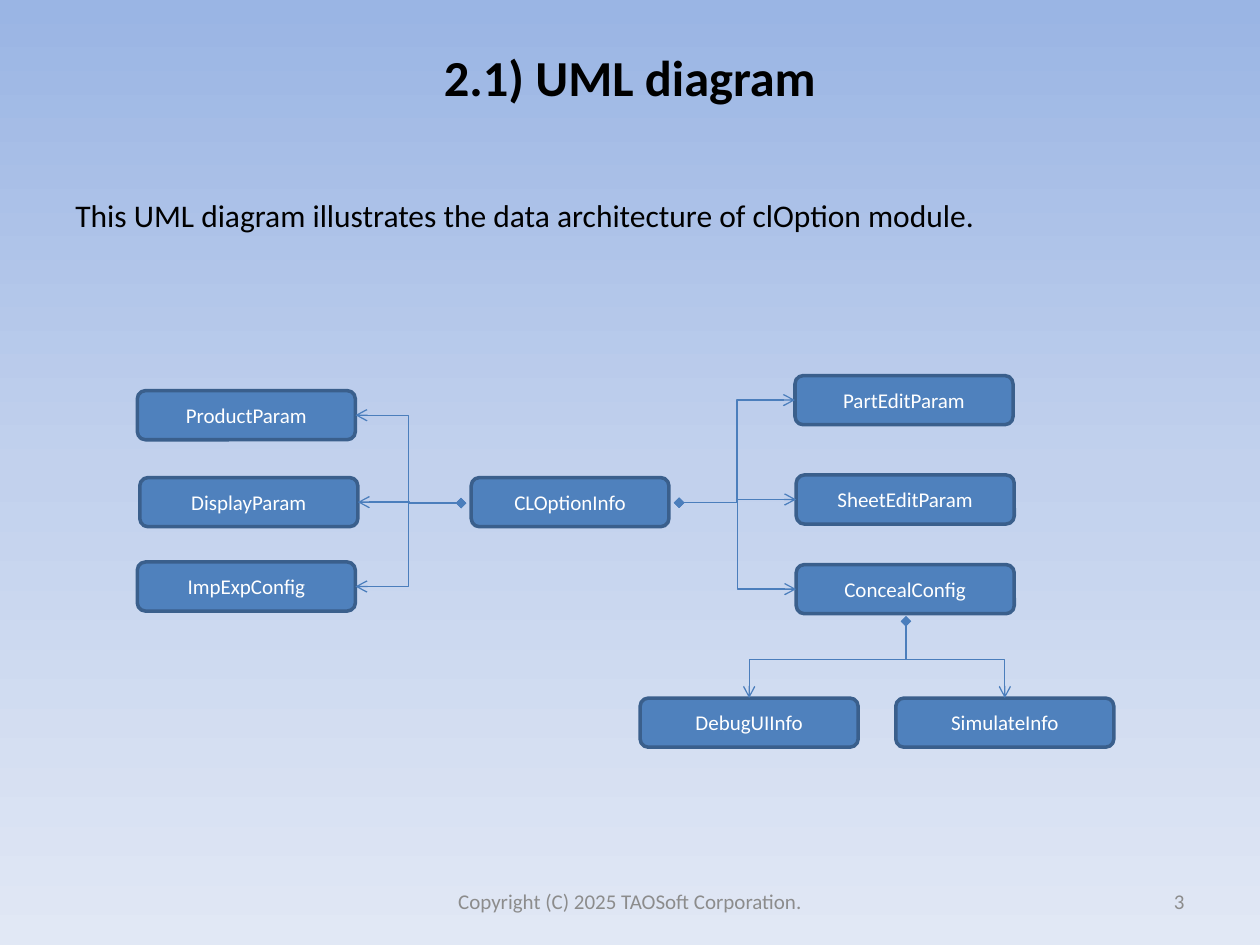
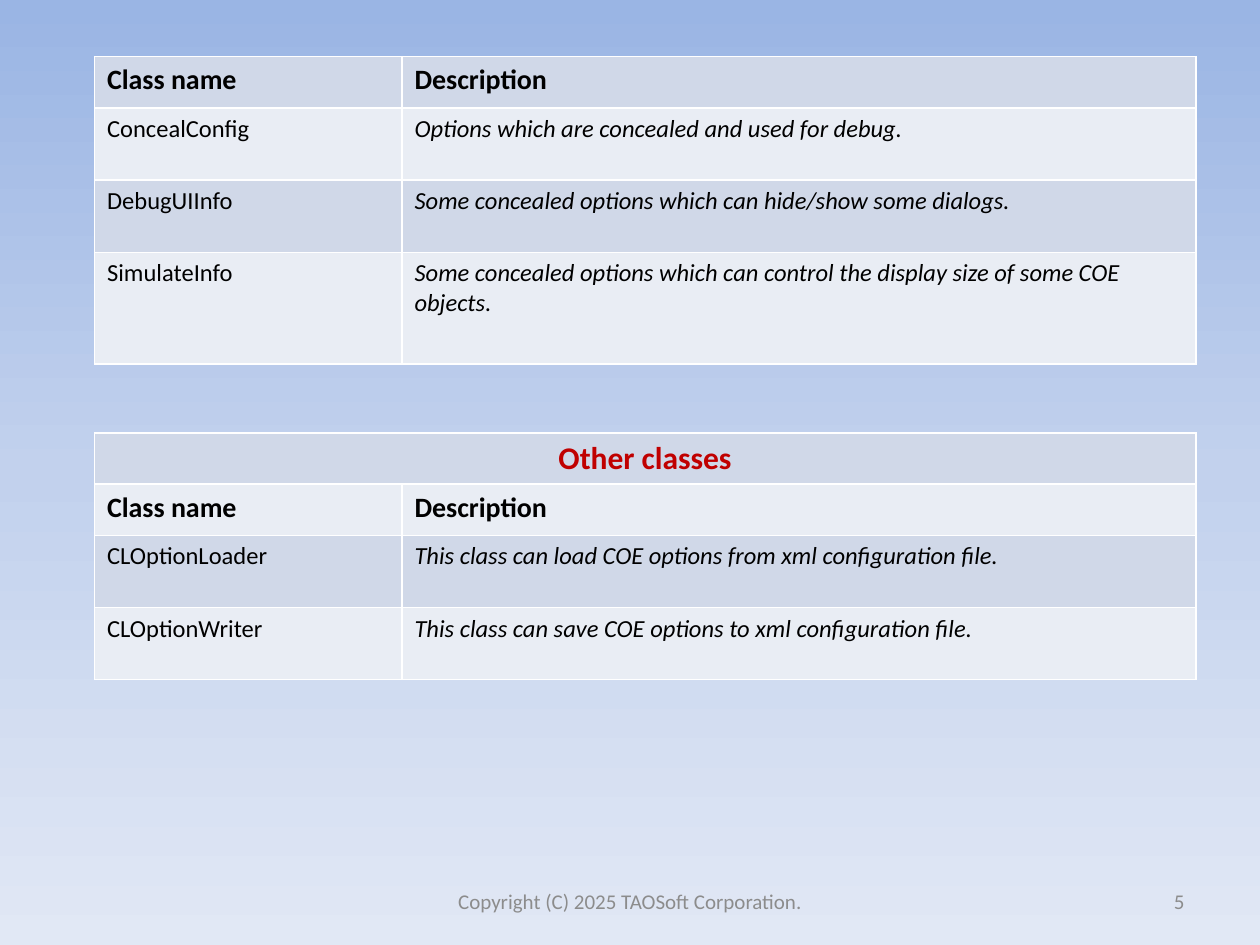
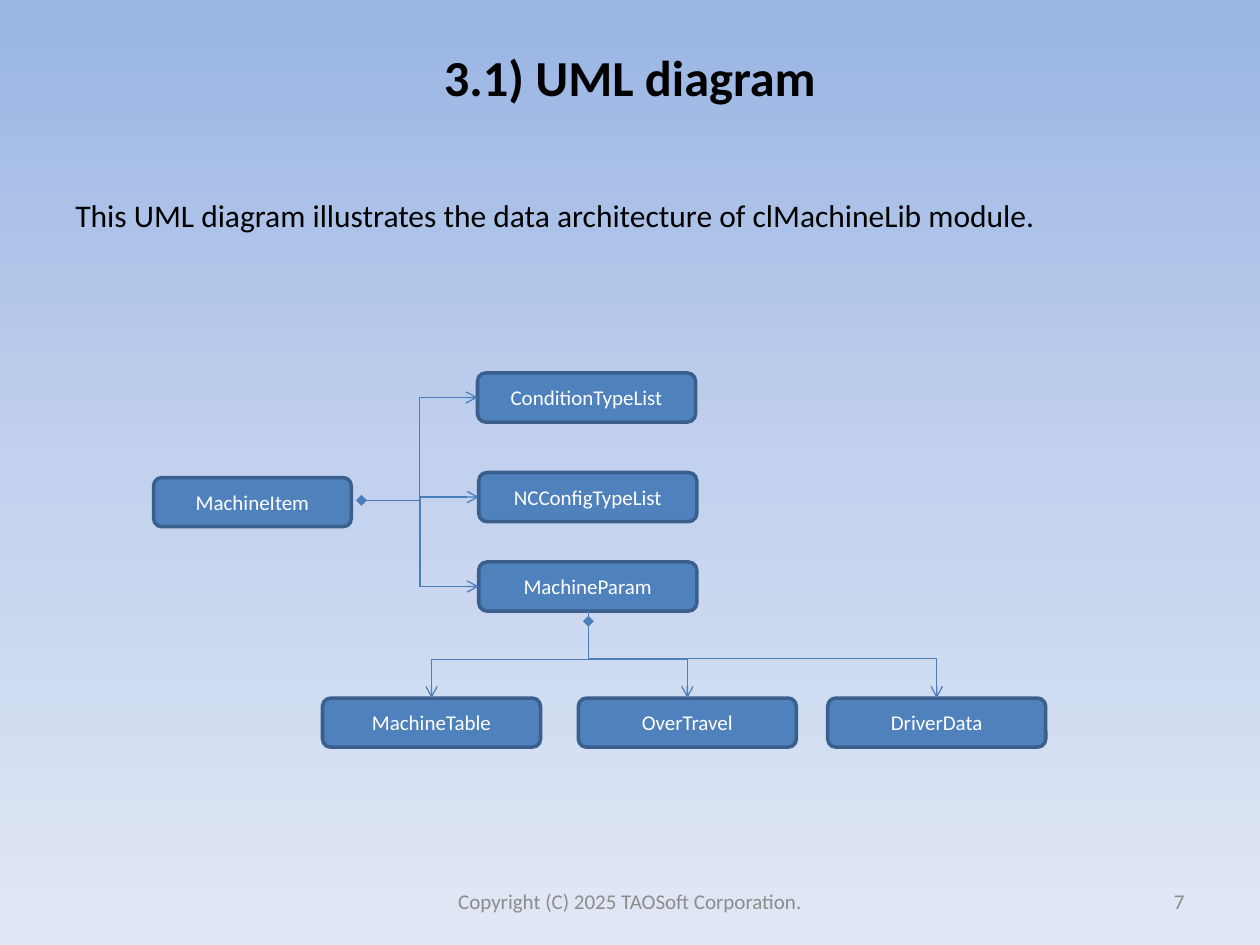
"""Builds three slides on module classes: two UML diagrams and a page of class tables."""
from copy import deepcopy

from lxml import etree
from pptx import Presentation
from pptx.dml.color import RGBColor
from pptx.enum.shapes import MSO_CONNECTOR, MSO_SHAPE
from pptx.enum.text import MSO_ANCHOR, PP_ALIGN
from pptx.oxml.ns import qn
from pptx.util import Pt

ELBOW = MSO_CONNECTOR.ELBOW
ROUND = MSO_SHAPE.ROUNDED_RECTANGLE
UPPER, MIDDLE = MSO_ANCHOR.TOP, MSO_ANCHOR.MIDDLE
LEFT, CENTER, RIGHT = PP_ALIGN.LEFT, PP_ALIGN.CENTER, PP_ALIGN.RIGHT
TOP, WEST, EAST = 0, 1, 3

FONT = "Calibri"
BLACK = RGBColor(0x00, 0x00, 0x00)
WHITE = RGBColor(0xFF, 0xFF, 0xFF)
GREY = RGBColor(0x8C, 0x8C, 0x8C)
RED = RGBColor(0xC0, 0x00, 0x00)
BLUE = RGBColor(0x4F, 0x81, 0xBD)
NAVY = RGBColor(0x3A, 0x5F, 0x8C)
WIRE = RGBColor(0x4B, 0x7E, 0xBC)
BANDS = RGBColor(0xD0, 0xD8, 0xE8), RGBColor(0xE9, 0xED, 0xF4)
SKY = (RGBColor(0x9A, 0xB5, 0xE4), RGBColor(0xC2, 0xD1, 0xED),
       RGBColor(0xE1, 0xE8, 0xF5))

WIDE, SLIM, HIGH = 124.6, 113, 28.1
LOW = 398.9
COLS = 175.7, 453.6
HEAD, ROW, TALL = 29.2, 41.3, 64
NOTICE = "Copyright (C) 2025 TAOSoft Corporation."


def put(frame, text, size=12, color=BLACK, bold=False, italic=False, align=LEFT):
    """Write one formatted paragraph into a text frame."""
    para = frame.paragraphs[0]
    para.alignment = align
    run = para.add_run()
    run.text = text
    font = run.font
    font.name, font.size, font.color.rgb = FONT, Pt(size), color
    font.bold, font.italic = bold, italic


def label(slide, area, text, inset=None, **fmt):
    """Add a text box, centred upright unless a top inset is given."""
    frame = slide.shapes.add_textbox(*map(Pt, area)).text_frame
    frame.word_wrap = True
    frame.vertical_anchor = MIDDLE
    if inset is not None:
        frame.vertical_anchor = UPPER
        frame.margin_top = Pt(inset)
    put(frame, text, **fmt)


def page(deck, number):
    """Add a slide with the shared gradient, notice and page number."""
    slide = deck.slides.add_slide(deck.slide_layouts[6])
    fill = slide.background.fill
    fill.gradient()
    fill.gradient_angle = 270
    stops = slide.element.find(".//" + qn("a:gsLst"))
    stops.insert(1, deepcopy(stops[0]))
    for i, stop in enumerate(fill.gradient_stops):
        stop.position, stop.color.rgb = i / 2, SKY[i]
    label(slide, (246, 500.4, 228, 28.8), NOTICE, color=GREY, align=CENTER)
    label(slide, (516, 500.4, 168, 28.8), str(number), color=GREY, align=RIGHT)
    return slide


def intro(slide, title, text):
    """Add the title and the sentence below it."""
    label(slide, (36, 21.6, 648, 67), title, inset=5, size=28.8, bold=True, align=CENTER)
    label(slide, (36, 88.6, 648, 90.7), text, inset=23.4, size=18)


def box(slide, name, left, top, width=WIDE):
    """Add a class box."""
    shape = slide.shapes.add_shape(ROUND, Pt(left), Pt(top), Pt(width), Pt(HIGH))
    shape.shadow.inherit = False
    shape.fill.solid()
    shape.fill.fore_color.rgb = BLUE
    shape.line.color.rgb = NAVY
    shape.line.width = Pt(2)
    shape.text_frame.vertical_anchor = MIDDLE
    put(shape.text_frame, name, color=WHITE, align=CENTER)
    return shape


def link(slide, start, shape, side, owner=True, bend=None):
    """Run an elbow arrow from a point to the middle of a box's side."""
    x, y = map(Pt, start)
    if side == TOP:
        endx, endy = shape.left + shape.width // 2, shape.top
        midx, midy = (x + endx) // 2, (y + endy) // 2
        dx, dy = (endx - x) // 2, (endy - y) // 2
        ends = midx - dy, midy + dx, midx + dy, midy - dx
    else:
        endx = shape.left + (shape.width if side == EAST else 0)
        ends = x, y, endx, shape.top + shape.height // 2
    wire = slide.shapes.add_connector(ELBOW, *ends)
    wire.line.color.rgb = WIRE
    wire.line.width = Pt(0.75)
    props = wire.element.spPr
    if side == TOP:
        props.find(qn("a:xfrm")).set("rot", "5400000")
    if bend:
        guides = props.find(".//" + qn("a:avLst"))
        etree.SubElement(guides, qn("a:gd"), name="adj1", fmla=f"val {bend}")
    edge = props.find(qn("a:ln"))
    if owner:
        etree.SubElement(edge, qn("a:headEnd"), type="diamond")
    etree.SubElement(edge, qn("a:tailEnd"), type="arrow")
    etree.SubElement(props, qn("a:effectLst"))


def fan(slide, start, side, items):
    """Add boxes and link each one to a shared starting point."""
    for name, left, top in items:
        link(slide, start, box(slide, name, left, top), side)


def frame_cell(cell):
    """Give a cell thin white borders."""
    props = cell._tc.get_or_add_tcPr()
    for i, tag in enumerate(("a:lnL", "a:lnR", "a:lnT", "a:lnB")):
        edge = etree.Element(qn(tag), w=str(Pt(1)))
        paint = etree.SubElement(edge, qn("a:solidFill"))
        etree.SubElement(paint, qn("a:srgbClr"), val=str(WHITE))
        props.insert(i, edge)


def grid(slide, top, rows):
    """Add a banded class table from (height, texts, formats) rows."""
    shape = slide.shapes.add_table(len(rows), len(COLS), Pt(54), Pt(top),
                                   Pt(sum(COLS)), Pt(sum(row[0] for row in rows)))
    table = shape.table
    table.first_row = table.horz_banding = False
    for col, width in zip(table.columns, COLS):
        col.width = Pt(width)
    for r, (height, texts, forms) in enumerate(rows):
        table.rows[r].height = Pt(height)
        for c in range(len(COLS)):
            cell = table.cell(r, c)
            cell.fill.solid()
            cell.fill.fore_color.rgb = BANDS[r % 2]
            frame_cell(cell)
        if len(texts) == 1:
            table.cell(r, 0).merge(table.cell(r, 1))
        for c, text in enumerate(texts):
            put(table.cell(r, c).text_frame, text, **forms[c])


def entry(name, text, height=ROW):
    """Return a table row for one class."""
    return height, (name, text), (dict(size=14), dict(size=14, italic=True))


def options(deck):
    """Build the option module diagram."""
    slide = page(deck, 3)
    intro(slide, "2.1) UML diagram",
          "This UML diagram illustrates the data architecture of clOption module.")
    box(slide, "CLOptionInfo", 269.3, 272.9, SLIM)
    fan(slide, (263.5, 287.5), EAST, (
        ("ProductParam", 78.5, 223.2),
        ("DisplayParam", 79.9, 272.9),
        ("ImpExpConfig", 78.5, 321.1)))
    fan(slide, (388.1, 287.3), WEST, (
        ("PartEditParam", 454.3, 214.6),
        ("SheetEditParam", 455, 271.4),
        ("ConcealConfig", 455, 322.6)))
    fan(slide, (517.7, 355), TOP, (
        ("DebugUIInfo", 365.8, LOW),
        ("SimulateInfo", 511.9, LOW)))


def classes(deck):
    """Build the page of class tables."""
    slide = page(deck, 5)
    bold = dict(size=16, bold=True)
    header = HEAD, ("Class name", "Description"), (bold, bold)
    banner = dict(size=18, bold=True, color=RED, align=CENTER)
    grid(slide, 32.4, (
        header,
        entry("ConcealConfig", "Options which are concealed and used for debug."),
        entry("DebugUIInfo", "Some concealed options which can hide/show some dialogs."),
        entry("SimulateInfo", "Some concealed options which can control the display "
              "size of some COE objects.", TALL)))
    grid(slide, 247.5, (
        (HEAD, ("Other classes",), (banner,)),
        header,
        entry("CLOptionLoader", "This class can load COE options from xml configuration file."),
        entry("CLOptionWriter", "This class can save COE options to xml configuration file.")))


def machine(deck):
    """Build the machine module diagram."""
    slide = page(deck, 7)
    intro(slide, "3.1) UML diagram",
          "This UML diagram illustrates the data architecture of clMachineLib module.")
    box(slide, "MachineItem", 87.8, 272.9, SLIM)
    fan(slide, (206.6, 285.9), WEST, (
        ("ConditionTypeList", 272.9, 213.1),
        ("NCConfigTypeList", 273.6, 270),
        ("MachineParam", 273.6, 321.1)))
    fan(slide, (336.2, 355), TOP, (
        ("MachineTable", 184.3, LOW),
        ("OverTravel", 330.5, LOW)))
    driver = box(slide, "DriverData", 473, LOW)
    link(slide, (336.2, 349.2), driver, TOP, owner=False, bend=54200)


def main():
    """Build and save the deck."""
    deck = Presentation()
    deck.slide_width, deck.slide_height = Pt(720), Pt(540)
    options(deck)
    classes(deck)
    machine(deck)
    deck.save("out.pptx")


if __name__ == "__main__":
    main()
